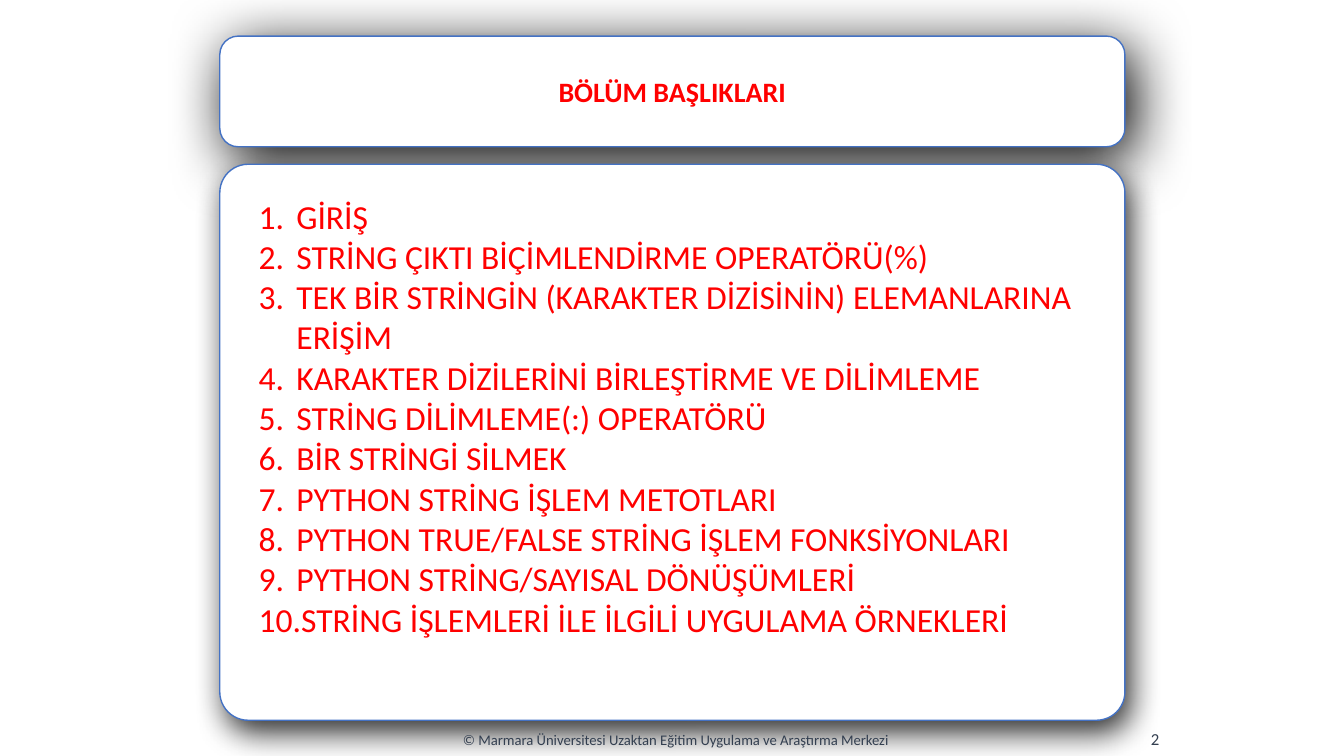
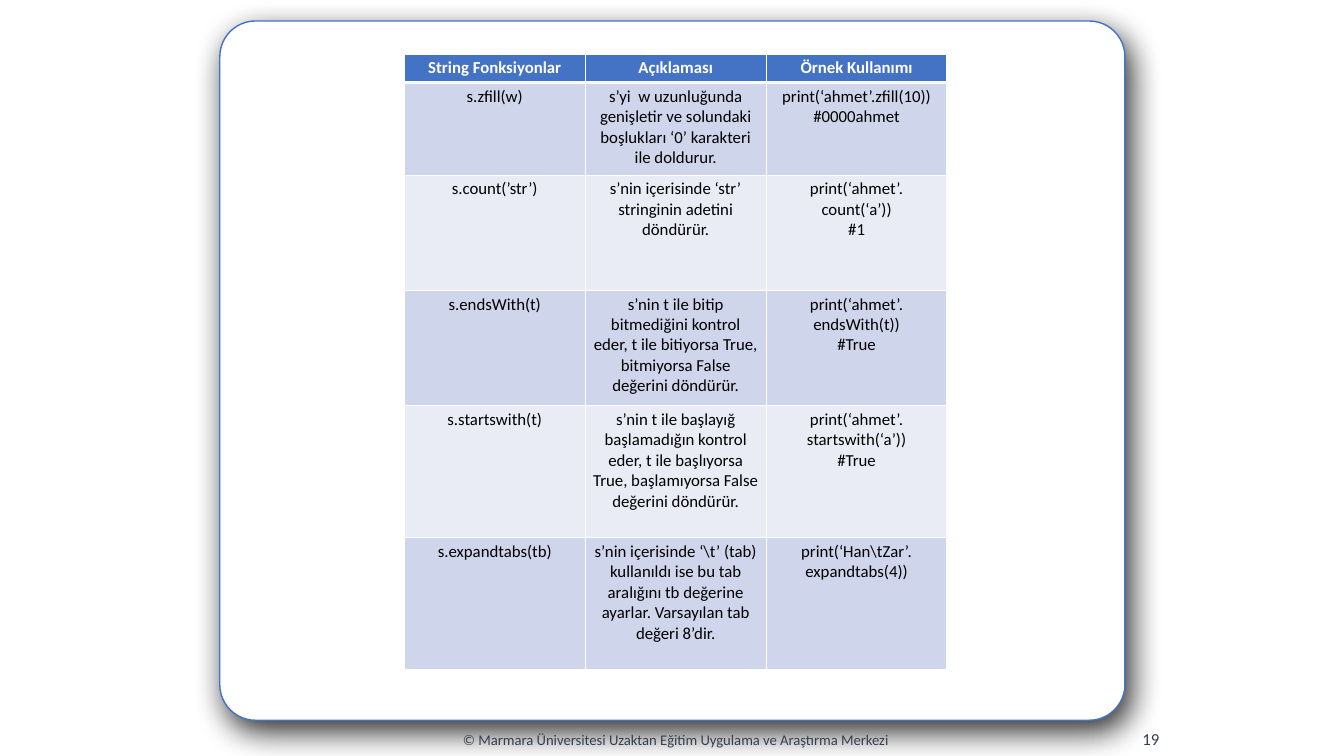
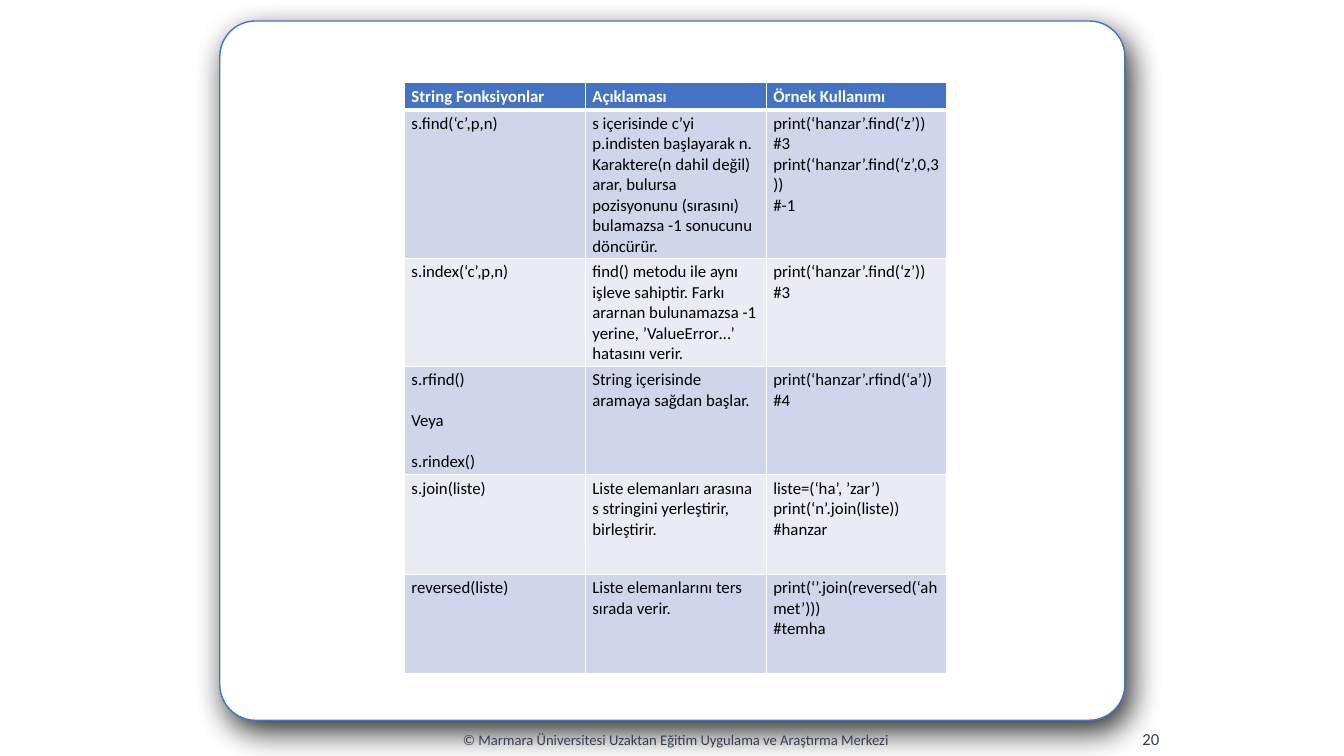
from dataclasses import dataclass

from lxml import etree
from pptx import Presentation
from pptx import util as u
from pptx.dml.color import RGBColor
from pptx.enum import shapes, text
from pptx.oxml.ns import qn


@dataclass(frozen=True)
class Theme:
    font: str = "Calibri"
    white: str = "FFFFFF"
    black: str = "000000"
    accent: str = "4472C4"
    red: str = "FF0000"
    footer: str = "333F50"
    bands: tuple = ("CFD5EA", "E9EBF5")
    title_size: float = 20
    list_size: float = 24
    table_size: float = 12
    footer_size: float = 10.5
    number_size: float = 12


FOOTER = "© Marmara Üniversitesi Uzaktan Eğitim Uygulama ve Araştırma Merkezi"
HEADER = ("String Fonksiyonlar", "Açıklaması", "Örnek Kullanımı")
LEFT, CENTER, RIGHT = text.PP_ALIGN.LEFT, text.PP_ALIGN.CENTER, text.PP_ALIGN.RIGHT
CARD_LEFT, CARD_WIDTH, CARD_BOTTOM = 5.54, 22.81, 18.15

TOPICS = (
    "GİRİŞ",
    "STRİNG ÇIKTI BİÇİMLENDİRME OPERATÖRÜ(%)",
    "TEK BİR STRİNGİN (KARAKTER DİZİSİNİN) ELEMANLARINA ERİŞİM",
    "KARAKTER DİZİLERİNİ BİRLEŞTİRME VE DİLİMLEME",
    "STRİNG DİLİMLEME(:) OPERATÖRÜ",
    "BİR STRİNGİ SİLMEK",
    "PYTHON STRİNG İŞLEM METOTLARI",
    "PYTHON TRUE/FALSE STRİNG İŞLEM FONKSİYONLARI",
    "PYTHON STRİNG/SAYISAL DÖNÜŞÜMLERİ",
    "STRİNG İŞLEMLERİ İLE İLGİLİ UYGULAMA ÖRNEKLERİ",
)

FORMAT_FUNCTIONS = (
    ("s.zfill(w)",
     "s’yi  w uzunluğunda genişletir ve solundaki boşlukları ‘0’ karakteri ile doldurur.",
     "print(‘ahmet’.zfill(10))\n#0000ahmet"),
    ("s.count(’str’)",
     "s’nin içerisinde ‘str’ stringinin adetini döndürür.",
     "print(‘ahmet’. count(‘a’))\n#1"),
    ("s.endsWith(t)",
     "s’nin t ile bitip bitmediğini kontrol eder, t ile bitiyorsa True, "
     "bitmiyorsa False değerini döndürür.",
     "print(‘ahmet’. endsWith(t))\n#True"),
    ("s.startswith(t)",
     "s’nin t ile başlayığ başlamadığın kontrol eder, t ile başlıyorsa True, "
     "başlamıyorsa False değerini döndürür.",
     "print(‘ahmet’. startswith(‘a’))\n#True"),
    ("s.expandtabs(tb)",
     "s’nin içerisinde ‘\\t’ (tab) kullanıldı ise bu tab aralığını tb değerine ayarlar. "
     "Varsayılan tab değeri 8’dir.",
     "print(‘Han\\tZar’. expandtabs(4))"),
)

SEARCH_FUNCTIONS = (
    ("s.find(‘c’,p,n)",
     "s içerisinde c’yi p.indisten başlayarak n. Karaktere(n dahil değil) arar, bulursa "
     "pozisyonunu (sırasını) bulamazsa -1 sonucunu döncürür.",
     "print(‘hanzar’.find(‘z’))\n#3\nprint(‘hanzar’.find(‘z’,0,3))\n#-1"),
    ("s.index(‘c’,p,n)",
     "find() metodu ile aynı işleve sahiptir. Farkı ararnan bulunamazsa -1 yerine, "
     "’ValueError…’ hatasını verir.",
     "print(‘hanzar’.find(‘z’))\n#3"),
    ("s.rfind()\nVeya\ns.rindex()",
     "String içerisinde aramaya sağdan başlar.",
     "print(‘hanzar’.rfind(‘a’))\n#4"),
    ("s.join(liste)",
     "Liste elemanları arasına s stringini yerleştirir, birleştirir.",
     "liste=(‘ha’, ’zar’)\nprint(‘n’.join(liste))\n#hanzar"),
    ("reversed(liste)",
     "Liste elemanlarını ters sırada verir.",
     "print(‘’.join(reversed(‘ahmet’)))\n#temha"),
)


def write(frame, lines, *, font, size, color, bold=False, align=LEFT, gap=0, numbered=False):
    frame.word_wrap = True
    for index, line in enumerate(lines):
        paragraph = frame.paragraphs[0] if index == 0 else frame.add_paragraph()
        paragraph.alignment = align
        if index and gap:
            paragraph.space_before = u.Pt(gap)
        if numbered:
            properties = paragraph._p.get_or_add_pPr()
            properties.set("marL", str(u.Cm(0.95)))
            properties.set("indent", str(-u.Cm(0.95)))
            etree.SubElement(properties, qn("a:buFont"), typeface="+mj-lt")
            etree.SubElement(properties, qn("a:buAutoNum"), type="arabicPeriod")
        run = paragraph.add_run()
        run.text = line
        run.font.name = font
        run.font.size = u.Pt(size)
        run.font.bold = bold
        run.font.color.rgb = RGBColor.from_string(color)


def add_color(parent, color):
    fill = etree.SubElement(parent, qn("a:solidFill"))
    return etree.SubElement(fill, qn("a:srgbClr"), val=color)


class Deck:
    def __init__(self, theme):
        self.theme = theme
        self.presentation = Presentation()
        self.presentation.slide_width = u.Cm(33.87)
        self.presentation.slide_height = u.Cm(19.05)
        self.slide = None

    def new_slide(self):
        self.slide = self.presentation.slides.add_slide(self.presentation.slide_layouts[6])

    def card(self, top, height, opacity=81, blur=23, angle=64, corner=0.051):
        shape = self.slide.shapes.add_shape(
            shapes.MSO_SHAPE.ROUNDED_RECTANGLE,
            u.Cm(CARD_LEFT), u.Cm(top), u.Cm(CARD_WIDTH), u.Cm(height))
        shape.adjustments[0] = corner
        shape.fill.solid()
        shape.fill.fore_color.rgb = RGBColor.from_string(self.theme.white)
        shape.line.color.rgb = RGBColor.from_string(self.theme.accent)
        shape.line.width = u.Pt(1)
        shape.shadow.inherit = False
        effects = shape.element.spPr.find(qn("a:effectLst"))
        shadow = etree.SubElement(
            effects, qn("a:outerShdw"), blurRad=str(u.Pt(blur)), dist=str(u.Pt(9)),
            dir=str(angle * 60000), algn="tl", rotWithShape="0")
        color = etree.SubElement(shadow, qn("a:srgbClr"), val=self.theme.black)
        etree.SubElement(color, qn("a:alpha"), val=str(opacity * 1000))
        return shape

    def title(self, title):
        shape = self.card(0.91, 2.79, opacity=99, blur=43, angle=60, corner=0.1667)
        shape.text_frame.vertical_anchor = text.MSO_ANCHOR.MIDDLE
        write(shape.text_frame, [title], font=self.theme.font, size=self.theme.title_size,
              color=self.theme.red, bold=True, align=CENTER)

    def text_box(self, left, top, width, height, lines, anchor=text.MSO_ANCHOR.TOP, **style):
        box = self.slide.shapes.add_textbox(u.Cm(left), u.Cm(top), u.Cm(width), u.Cm(height))
        box.text_frame.vertical_anchor = anchor
        write(box.text_frame, lines, font=self.theme.font, **style)

    def topics(self, lines):
        self.text_box(6.27, 4.8, 21.67, 11.53, lines, size=self.theme.list_size,
                      color=self.theme.red, numbered=True)

    def footer(self, number):
        style = dict(color=self.theme.footer, anchor=text.MSO_ANCHOR.MIDDLE)
        self.text_box(9.53, 18.14, 15.01, 1.02, [FOOTER],
                      size=self.theme.footer_size, align=CENTER, **style)
        self.text_box(23.55, 18.11, 5.92, 1.02, [str(number)],
                      size=self.theme.number_size, align=RIGHT, **style)

    def borders(self, cell, row):
        properties = cell._tc.get_or_add_tcPr()
        widths = dict(L=1, R=1, T=3 if row == 1 else 1, B=3 if row == 0 else 1)
        for side, width in widths.items():
            line = etree.SubElement(properties, qn(f"a:ln{side}"), w=str(u.Pt(width)))
            add_color(line, self.theme.white)

    def table(self, top, heights, rows, align):
        width = 4.56
        table = self.slide.shapes.add_table(
            len(heights), len(HEADER), u.Cm(10.19), u.Cm(top),
            u.Cm(width * len(HEADER)), u.Cm(sum(heights))).table
        table.horz_banding = False
        for column in table.columns:
            column.width = u.Cm(width)
        for row, (height, values) in enumerate(zip(heights, (HEADER, *rows))):
            table.rows[row].height = u.Cm(height)
            heading = row == 0
            for column, value in enumerate(values):
                cell = table.cell(row, column)
                cell.margin_left = cell.margin_right = u.Cm(0.18)
                cell.margin_top = cell.margin_bottom = u.Cm(0.09)
                self.borders(cell, row)
                cell.fill.solid()
                fill = self.theme.accent if heading else self.theme.bands[(row - 1) % 2]
                cell.fill.fore_color.rgb = RGBColor.from_string(fill)
                write(cell.text_frame, value.split("\n"), font=self.theme.font,
                      size=self.theme.table_size, bold=heading, align=align,
                      color=self.theme.white if heading else self.theme.black,
                      gap=14.6 if "\nVeya\n" in value else 0)

    def table_slide(self, number, **table):
        self.new_slide()
        self.card(0.53, CARD_BOTTOM - 0.53)
        self.footer(number)
        self.table(**table)


def main():
    deck = Deck(Theme())
    deck.new_slide()
    deck.title("BÖLÜM BAŞLIKLARI")
    deck.card(4.14, CARD_BOTTOM - 4.14)
    deck.footer(2)
    deck.topics(TOPICS)
    deck.table_slide(19, top=1.37, heights=(0.71, 2.34, 2.9, 2.9, 3.33, 3.33),
                     rows=FORMAT_FUNCTIONS, align=CENTER)
    deck.table_slide(20, top=2.08, heights=(0.56, 3.02, 2.21, 2.21, 2.51, 2.51),
                     rows=SEARCH_FUNCTIONS, align=LEFT)
    deck.presentation.save("out.pptx")


if __name__ == "__main__":
    main()
